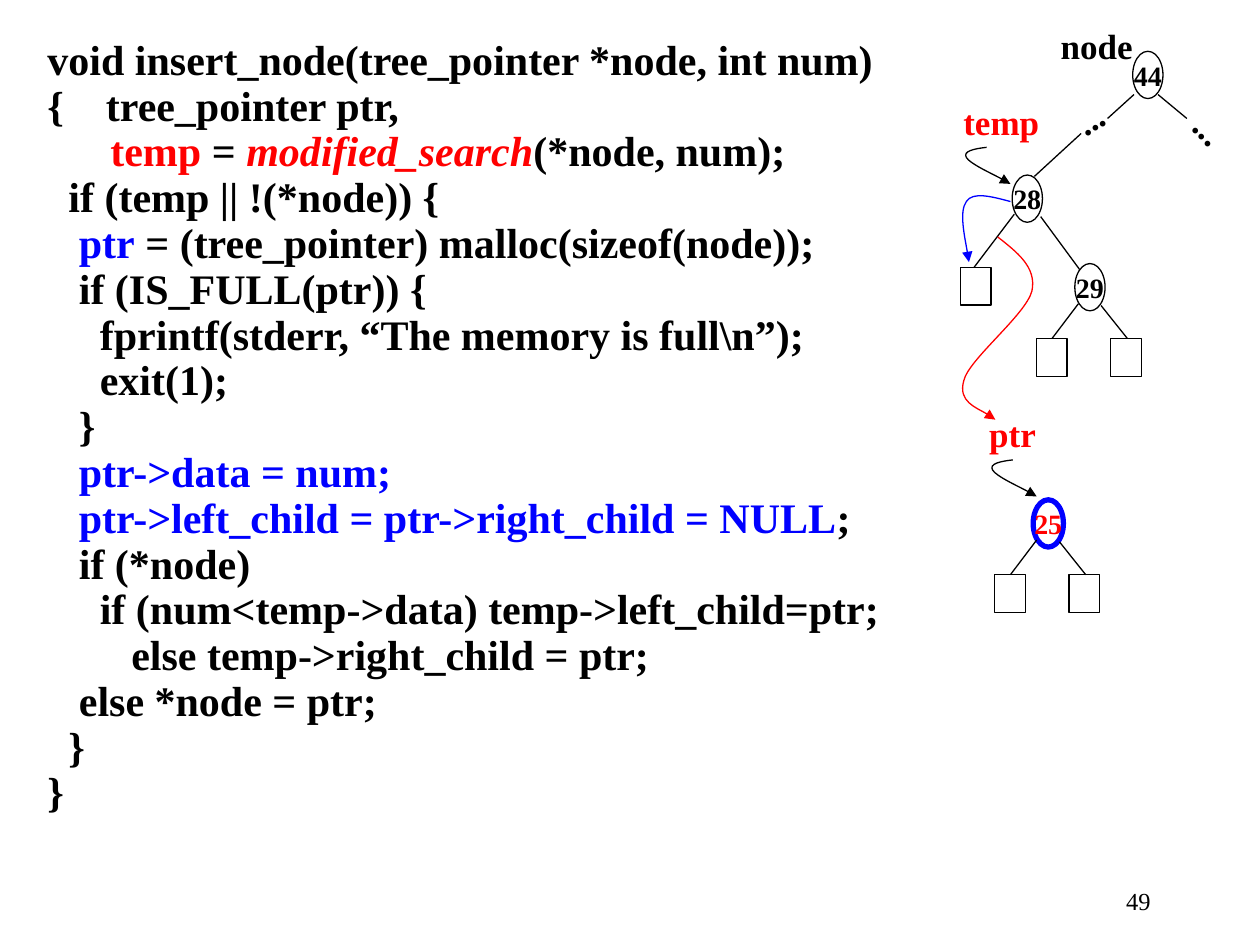
from lxml import etree
from pptx import Presentation
from pptx.dml import color
from pptx.enum import shapes, text
from pptx.oxml import ns
from pptx.util import Pt

FONT = "Times New Roman"
COLORS = {"black": "000000", "red": "FF0000", "blue": "0000FF"}

code = [
    [("void insert_node(tree_pointer *node, int num)", "black")],
    [("{    tree_pointer ptr,", "black")],
    [("      ", "black"), ("temp", "red"), (" = ", "black"),
     ("modified_search", "red", True), ("(*node, num);", "black")],
    [("  if (temp || !(*node)) {", "black")],
    [("   ", "black"), ("ptr", "blue"),
     (" = (tree_pointer) malloc(sizeof(node));", "black")],
    [("   if (IS_FULL(ptr)) {", "black")],
    [("     fprintf(stderr, “The memory is full\\n”);", "black")],
    [("     exit(1);", "black")],
    [("   }", "black")],
    [("   ptr->data = num;", "blue")],
    [("   ptr->left_child = ptr->right_child = NULL", "blue"), (";", "black")],
    [("   if (*node)", "black")],
    [("     if (num<temp->data) temp->left_child=ptr;", "black")],
    [("        else temp->right_child = ptr;", "black")],
    [("   else *node = ptr;", "black")],
    [("  }", "black")],
    [("}", "black")],
]

NODE_SIZE = (17.3, 27)
LEAF_SIZE = (17.5, 21.6)
nodes = [
    ("25", 590.4, 285.6, "red", "blue", 3),
    ("28", 578.4, 100, "black", "black", 0.75),
    ("29", 614.2, 150.6, "black", "black", 0.75),
    ("44", 647.3, 29.3, "black", "black", 0.75),
]
leaf_parents = ("25", "29")
leaf_offsets = [(-22, 42.8), (20.5, 42.8)]
leaf_edges = [(2, 23, -13, 42.8), (15, 24, 30, 42.8)]
left_leaf_of_28 = (548.9, 152.8)
edges = [
    (594.7, 123.8, 617, 154.1),
    (579.6, 122.4, 556.6, 152.8),
    (591.1, 100.8, 617.8, 76.3),
    (661.7, 54, 678.2, 67.7),
    (648, 54, 632.9, 67.7),
]
labels = [
    ("node", 599, 10.5, 55.4, "black", 0),
    ("temp", 543.4, 53.7, 57.6, "red", 0),
    ("ptr", 558.2, 232.3, 41, "red", 0),
    ("...", 607.9, 52.2, 29.5, "black", 326.8),
    ("...", 676.5, 58.5, 29.5, "black", 46.5),
]
temp_pointer = [(563.8, 84.2), (556.6, 85), (550.1, 86.4), (552.2, 90),
                (554.4, 93.6), (573.1, 102.2), (577.4, 105.1)]
ptr_pointer = [(x + 15, y + 178.6) for x, y in temp_pointer]
old_child = [(577.4, 115.2), (566.6, 112.3), (555.8, 109.4), (552.2, 115.2),
             (547.9, 121), (553, 144), (553.7, 149.8)]
new_child = [(570.2, 135.4), (581, 144), (592.6, 152.6), (589.7, 166.3),
             (586.1, 180), (553.7, 205.2), (550.8, 217.4),
             (547.2, 229.7), (565.2, 236.2), (568.8, 239.8)]
pointers = [(temp_pointer, "black"), (ptr_pointer, "black"),
            (old_child, "blue"), (new_child, "red")]

deck = Presentation()
deck.slide_width, deck.slide_height = Pt(720), Pt(540)
slide = deck.slides.add_slide(deck.slide_layouts[6])


def rgb(name):
    return color.RGBColor.from_string(COLORS[name])


def style(font, size, tint, bold=True, italic=False):
    font.name, font.size = FONT, Pt(size)
    font.bold, font.italic = bold, italic
    font.color.rgb = rgb(tint)


def outline(part, tint="black", width=0.75):
    part.line.color.rgb = rgb(tint)
    part.line.width = Pt(width)


def add_outlined(kind, x, y, size, tint="black", width=0.75):
    part = slide.shapes.add_shape(kind, Pt(x), Pt(y), *map(Pt, size))
    part.shadow.inherit = False
    part.fill.background()
    outline(part, tint, width)
    return part


def add_leaf(x, y):
    add_outlined(shapes.MSO_SHAPE.RECTANGLE, x, y, LEAF_SIZE)


def add_edge(*ends):
    edge = slide.shapes.add_connector(shapes.MSO_CONNECTOR.STRAIGHT, *map(Pt, ends))
    outline(edge)
    etree.SubElement(edge._element.spPr, ns.qn("a:effectLst"))


def add_pointer(points, tint):
    start, *rest = [(Pt(x), Pt(y)) for x, y in points]
    builder = slide.shapes.build_freeform(*start)
    builder.add_line_segments(rest, close=False)
    pointer = builder.convert_to_shape()
    pointer.shadow.inherit = False
    pointer.fill.background()
    outline(pointer, tint)
    etree.SubElement(pointer.line._get_or_add_ln(), ns.qn("a:tailEnd"), type="triangle")
    segments = pointer._element.xpath(".//a:lnTo")
    for first in range(0, len(segments), 3):
        curve = etree.Element(ns.qn("a:cubicBezTo"))
        segments[first].addprevious(curve)
        for segment in segments[first:first + 3]:
            curve.append(segment[0])
            segment.getparent().remove(segment)


def add_text(x, y, width, height, wrap=True):
    box = slide.shapes.add_textbox(Pt(x), Pt(y), Pt(width), Pt(height))
    box.text_frame.word_wrap = wrap
    return box


listing = add_text(20, 23.4, 493.2, 489.6).text_frame
for index, pieces in enumerate(code):
    line = listing.add_paragraph() if index else listing.paragraphs[0]
    line.line_spacing = 0.7
    line.space_before = Pt(6 if index else 0)
    props = line._p.get_or_add_pPr()
    props.set("marL", str(Pt(27)))
    props.set("indent", str(Pt(-27)))
    for words, tint, *italic in pieces:
        run = line.add_run()
        run.text = words
        style(run.font, 24, tint, italic=bool(italic))

for value, x, y, tint, border, width in nodes:
    node = add_outlined(shapes.MSO_SHAPE.OVAL, x, y, NODE_SIZE, border, width)
    frame = node.text_frame
    frame.text = value
    frame.word_wrap = False
    frame.vertical_anchor = text.MSO_ANCHOR.MIDDLE
    frame.paragraphs[0].alignment = text.PP_ALIGN.CENTER
    style(frame.paragraphs[0].runs[0].font, 16, tint)
    if value in leaf_parents:
        for dx, dy in leaf_offsets:
            add_leaf(x + dx, y + dy)
        for x1, y1, x2, y2 in leaf_edges:
            add_edge(x + x1, y + y1, x + x2, y + y2)

add_leaf(*left_leaf_of_28)
for ends in edges:
    add_edge(*ends)

for words, x, y, width, tint, angle in labels:
    label = add_text(x, y, width, 31.7, wrap=False)
    label.rotation = angle
    label.text_frame.text = words
    label.text_frame.auto_size = text.MSO_AUTO_SIZE.SHAPE_TO_FIT_TEXT
    style(label.text_frame.paragraphs[0].runs[0].font, 20, tint)

for points, tint in pointers:
    add_pointer(points, tint)

page_number = add_text(514.8, 502.6, 149.8, 36).text_frame
page_number.text = "49"
page_number.paragraphs[0].alignment = text.PP_ALIGN.RIGHT
style(page_number.paragraphs[0].runs[0].font, 14, "black", bold=False)

deck.save("out.pptx")
